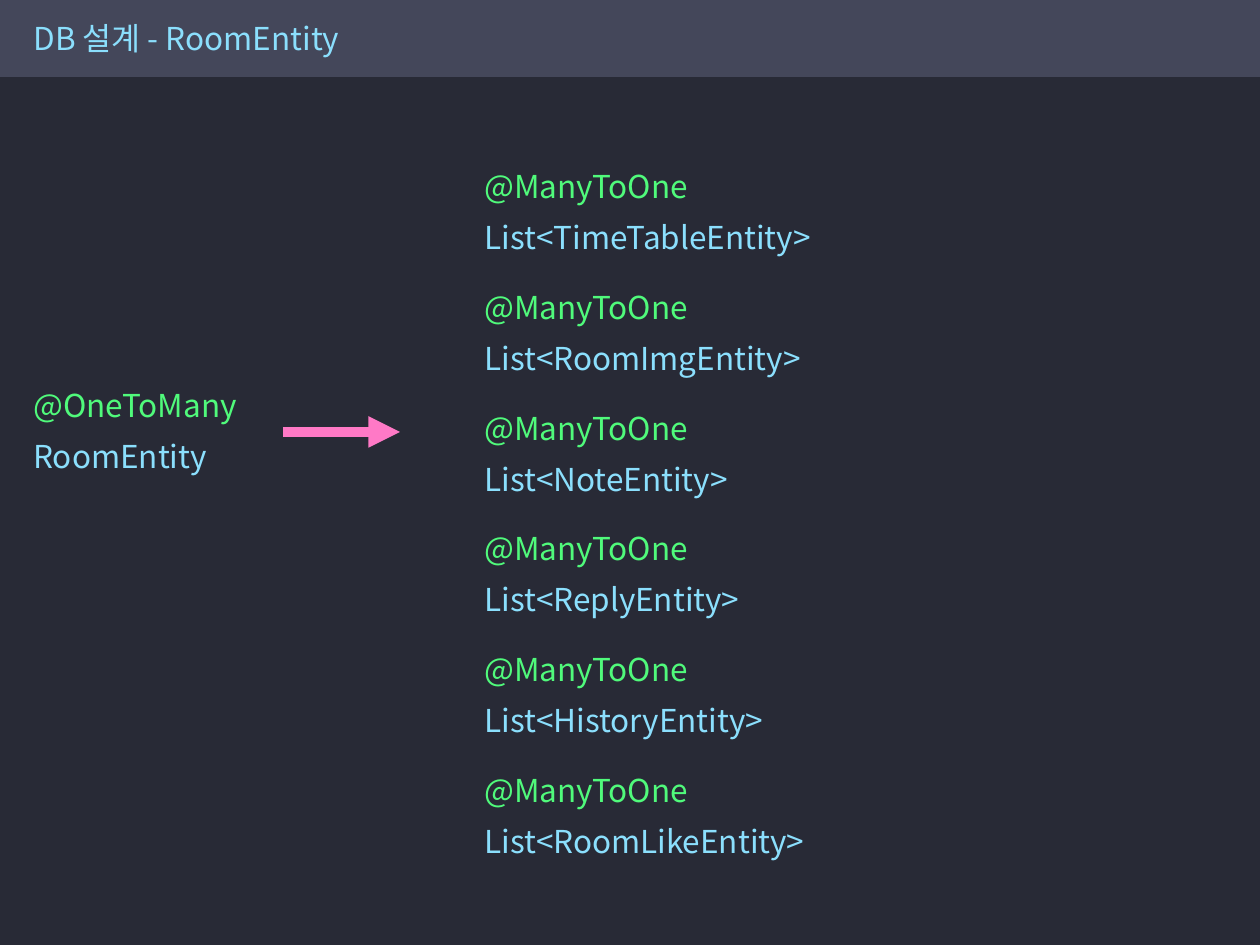
from lxml.etree import SubElement
from pptx import Presentation
from pptx.dml.color import RGBColor
from pptx.enum.shapes import MSO_CONNECTOR, MSO_SHAPE
from pptx.enum.text import MSO_AUTO_SIZE
from pptx.oxml.ns import qn
from pptx.util import Emu, Pt

COLORS = {
    "background": "282A36",
    "header": "44475A",
    "entity": "8BDFFD",
    "annotation": "50FA7B",
    "arrow": "FF79C6",
}
TARGETS = [
    ("List<TimeTableEntity>", 358),
    ("List<RoomImgEntity>", 349),
    ("List<NoteEntity>", 277),
    ("List<ReplyEntity>", 289),
    ("List<HistoryEntity>", 314),
    ("List<RoomLikeEntity>", 354),
]
LEFT_MARGIN = 21
TARGET_LEFT = 472
FIRST_TARGET_TOP = 161
LAST_TARGET_TOP = 765


def px(length):
    return Emu(round(length * 914400 / 126))


def color(name):
    return RGBColor.from_string(COLORS[name])


class SlideBuilder:
    font_name = "Noto Sans CJK KR"
    font_size = Pt(18)
    text_height = 51

    def __init__(self, slide):
        self.slide = slide

    def background(self, color_name):
        fill = self.slide.background.fill
        fill.solid()
        fill.fore_color.rgb = color(color_name)

    def bar(self, left, top, width, height, color_name):
        shape = self.slide.shapes.add_shape(
            MSO_SHAPE.RECTANGLE, px(left), px(top), px(width), px(height)
        )
        shape.shadow.inherit = False
        shape.fill.solid()
        shape.fill.fore_color.rgb = color(color_name)
        shape.line.fill.background()

    def text(self, shapes, left, top, width, content, color_name, wrap=False):
        box = shapes.add_textbox(px(left), px(top), px(width), px(self.text_height))
        frame = box.text_frame
        frame.word_wrap = wrap
        frame.auto_size = MSO_AUTO_SIZE.SHAPE_TO_FIT_TEXT
        run = frame.paragraphs[0].add_run()
        run.text = content
        run.font.size = self.font_size
        run.font.name = self.font_name
        run.font.color.rgb = color(color_name)
        SubElement(run.font._element, qn("a:ea"), typeface=self.font_name)

    def title(self, left, top, width, content):
        self.text(self.slide.shapes, left, top, width, content, "entity", wrap=True)

    def relation(self, left, top, annotation, annotation_width, entity, entity_width):
        shapes = self.slide.shapes.add_group_shape().shapes
        entity_top = top + self.text_height
        self.text(shapes, left, entity_top, entity_width, entity, "entity")
        self.text(shapes, left, top, annotation_width, annotation, "annotation")

    def arrow(self, start, end, y, color_name):
        connector = self.slide.shapes.add_connector(
            MSO_CONNECTOR.STRAIGHT, px(start), px(y), px(end), px(y)
        )
        connector.line.width = Pt(6)
        connector.line.color.rgb = color(color_name)
        SubElement(connector.line._get_or_add_ln(), qn("a:tailEnd"), type="triangle")
        SubElement(connector._element.spPr, qn("a:effectLst"))


def main():
    presentation = Presentation()
    presentation.slide_width = px(1260)
    presentation.slide_height = px(945)
    slide = presentation.slides.add_slide(presentation.slide_layouts[6])
    builder = SlideBuilder(slide)

    builder.background("background")
    builder.bar(0, 0, 1260, 77, "header")
    builder.title(LEFT_MARGIN, 13, 450, "DB 설계 - RoomEntity")
    builder.relation(LEFT_MARGIN, 380, "@OneToMany", 232, "RoomEntity", 200)

    pitch = (LAST_TARGET_TOP - FIRST_TARGET_TOP) / (len(TARGETS) - 1)
    for index, (entity, width) in enumerate(TARGETS):
        top = round(FIRST_TARGET_TOP + index * pitch)
        builder.relation(TARGET_LEFT, top, "@ManyToOne", 231, entity, width)

    builder.arrow(283, 400, 432, "arrow")
    presentation.save("out.pptx")


if __name__ == "__main__":
    main()
